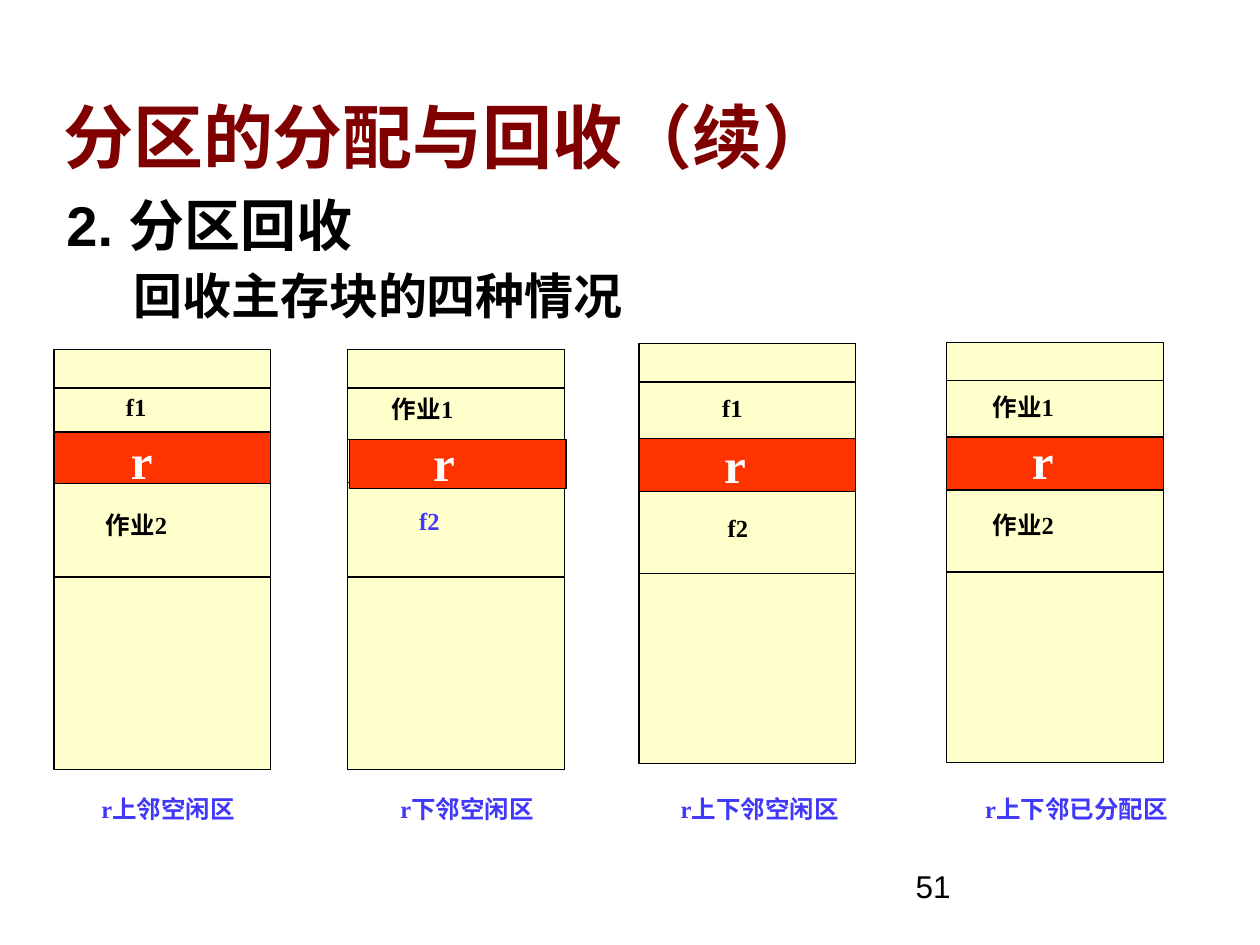
from dataclasses import dataclass

from lxml.etree import SubElement
from pptx import Presentation
from pptx.dml.color import RGBColor as RGB
from pptx.enum.shapes import MSO_CONNECTOR as CONN, MSO_SHAPE as SHAPE
from pptx.enum.text import MSO_ANCHOR as ANCHOR, MSO_AUTO_SIZE as FIT, PP_ALIGN as ALIGN
from pptx.oxml.ns import qn
from pptx.util import Cm, Pt


@dataclass(frozen=True)
class Theme:
    heading_font: str = "Arial"
    label_font: str = "Times New Roman"
    title: RGB = RGB(0x80, 0x00, 0x00)
    ink: RGB = RGB(0x00, 0x00, 0x00)
    accent: RGB = RGB(0x41, 0x38, 0xFA)
    memory: RGB = RGB(0xFF, 0xFF, 0xCC)
    released: RGB = RGB(0xFF, 0x33, 0x00)
    on_released: RGB = RGB(0xFF, 0xFF, 0xFF)
    title_size: int = 40
    topic_size: int = 32
    big_size: int = 28
    number_size: int = 18
    label_size: int = 14
    line_width: float = 0.75


@dataclass(frozen=True)
class Label:
    text: str
    x: float
    y: float
    width: float
    color: RGB = Theme.ink
    align: ALIGN = ALIGN.LEFT


@dataclass(frozen=True)
class Case:
    """One memory column with its released block; lengths in cm."""
    left: float
    top: float
    dividers: tuple
    block: tuple  # left, top, height
    r_at: tuple
    neighbours: tuple
    caption: Label


def caption(text, x, width):
    return Label(text, x, 15.88, width, Theme.accent, ALIGN.CENTER)


CASES = (
    Case(1.09, 7.04, (7.82, 11.63), (1.09, 8.71, 1.04), (2.39, 8.56),
         (Label("f1", 2.29, 7.77, 1.65), Label("作业2", 1.88, 10.16, 3.02)),
         caption("r上邻空闲区", 0.64, 5.51)),
    Case(7.01, 7.04, (7.82, 8.86, 9.73, 11.63), (7.04, 8.86, 0.99), (8.48, 8.59),
         (Label("作业1", 7.65, 7.82, 3.02),
          Label("f2", 8.2, 10.08, 1.93, Theme.accent)),
         caption("r下邻空闲区", 6.78, 5.28)),
    Case(12.88, 6.93, (7.7, 11.56), (12.88, 8.84, 1.07), (14.35, 8.64),
         (Label("f1", 13.94, 7.8, 1.65, align=ALIGN.CENTER),
          Label("f2", 14.05, 10.21, 1.65, align=ALIGN.CENTER)),
         caption("r上下邻空闲区", 12.27, 6.1)),
    Case(19.08, 6.91, (7.67, 11.53), (19.08, 8.81, 1.07), (20.55, 8.56),
         (Label("作业1", 19.76, 7.77, 3.02), Label("作业2", 19.76, 10.16, 3.02)),
         caption("r上下邻已分配区", 18.21, 6.99)),
)
COLUMN_W, COLUMN_H = 4.37, 8.47


class Deck:
    """Holds the theme and the slide being drawn."""

    def __init__(self, prs, theme):
        self.theme = theme
        self.slide = prs.slides.add_slide(prs.slide_layouts[5])

    def style(self, p, font, size, color, bold=True, align=ALIGN.LEFT):
        p.alignment = align
        for r in p.runs:
            r.font.name, r.font.size, r.font.bold = font, Pt(size), bold
            r.font.color.rgb = color

    def title(self, text):
        sp, t = self.slide.shapes.title, self.theme
        sp.left, sp.top, sp.width, sp.height = Cm(1.02), Cm(1.8), Cm(23.32), Cm(1.93)
        tf = sp.text_frame
        tf.text = text
        tf.auto_size, tf.vertical_anchor = FIT.NONE, ANCHOR.BOTTOM
        tf.paragraphs[0].line_spacing = 0.9
        self.style(tf.paragraphs[0], t.heading_font, t.title_size, t.title)

    def text_box(self, shapes, text, x, y, w, h):
        tf = shapes.add_textbox(Cm(x), Cm(y), Cm(w), Cm(h)).text_frame
        tf.word_wrap = True
        tf.text = text
        return tf

    def body(self, topic, detail):
        t = self.theme
        tf = self.text_box(self.slide.shapes, topic, 1.09, 3.86, 23.29, 3.02)
        first, second = tf.paragraphs[0], tf.add_paragraph()
        second.text = detail
        second.space_before = Pt(8)
        second._p.get_or_add_pPr().set("marL", str(Cm(1.35)))
        for p, size in ((first, t.topic_size), (second, t.big_size)):
            p.line_spacing = 0.9
            self.style(p, t.heading_font, size, t.ink)

    def label(self, shapes, label):
        t = self.theme
        tf = self.text_box(shapes, label.text, label.x, label.y, label.width, 1.27)
        self.style(tf.paragraphs[0], t.label_font, t.label_size, label.color,
                   align=label.align)

    def rect(self, shapes, x, y, h, fill):
        sp = shapes.add_shape(SHAPE.RECTANGLE, Cm(x), Cm(y), Cm(COLUMN_W), Cm(h))
        sp.shadow.inherit = False
        sp.fill.solid()
        sp.fill.fore_color.rgb = fill
        self.outline(sp)

    def divider(self, shapes, x, y):
        cx = shapes.add_connector(CONN.STRAIGHT, Cm(x), Cm(y), Cm(x + COLUMN_W), Cm(y))
        self.outline(cx)
        SubElement(cx._element.spPr, qn("a:effectLst"))

    def outline(self, sp):
        sp.line.color.rgb = self.theme.ink
        sp.line.width = Pt(self.theme.line_width)

    def case(self, case):
        t, shapes = self.theme, self.slide.shapes.add_group_shape().shapes
        self.rect(shapes, case.left, case.top, COLUMN_H, t.memory)
        for y in case.dividers:
            self.divider(shapes, case.left, y)
        self.rect(shapes, *case.block, t.released)
        tf = self.text_box(shapes, "r", *case.r_at, 1.75, 1.45)
        self.style(tf.paragraphs[0], t.label_font, t.big_size, t.on_released)
        for label in (*case.neighbours, case.caption):
            self.label(shapes, label)

    def page_number(self, text):
        t = self.theme
        tf = self.text_box(self.slide.shapes, text, 18.21, 17.35, 5.28, 1.27)
        self.style(tf.paragraphs[0], t.heading_font, t.number_size, t.ink, bold=False)


def main():
    prs = Presentation()
    prs.slide_width, prs.slide_height = Cm(25.4), Cm(19.05)
    deck = Deck(prs, Theme())
    deck.title("分区的分配与回收（续）")
    deck.body("2. 分区回收", "回收主存块的四种情况")
    for case in CASES:
        deck.case(case)
    deck.page_number("51")
    prs.save("out.pptx")


if __name__ == "__main__":
    main()
